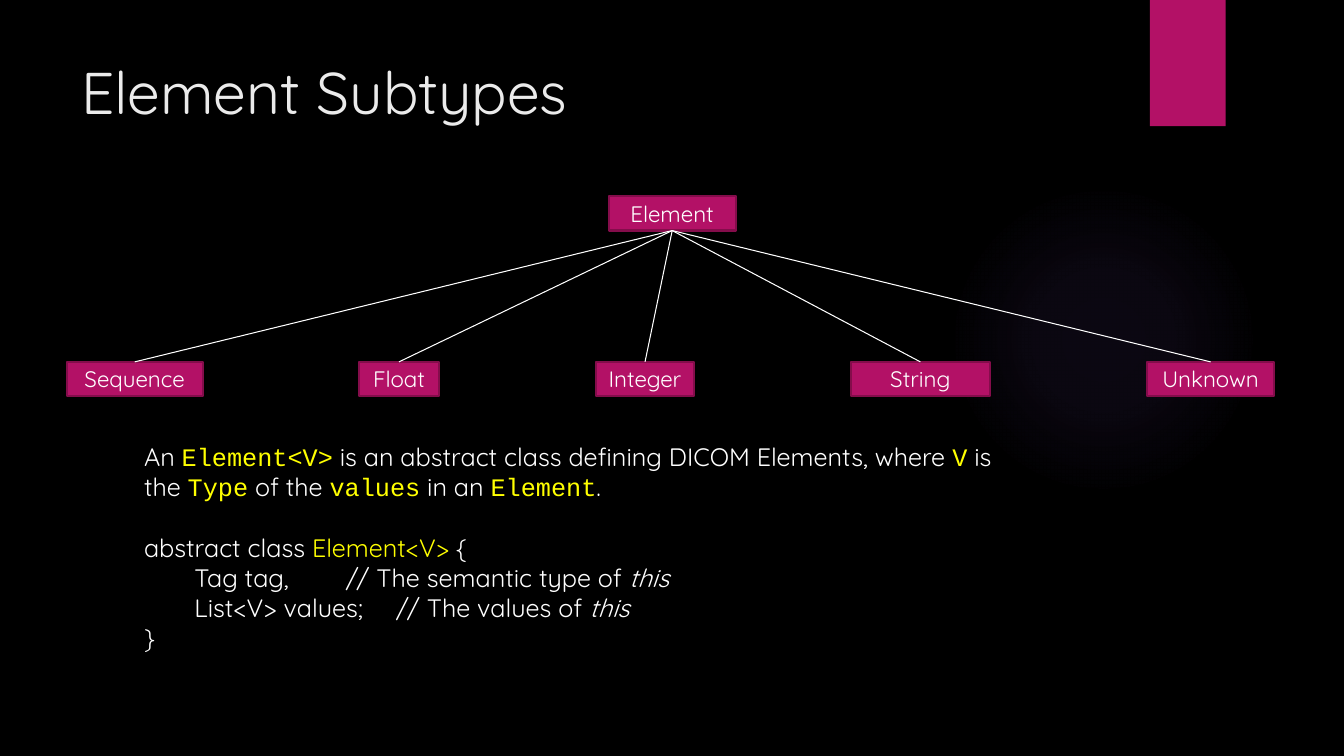
from dataclasses import dataclass

from lxml.etree import SubElement
from pptx import Presentation
from pptx.dml.color import RGBColor
from pptx.enum.shapes import MSO_CONNECTOR, MSO_SHAPE
from pptx.enum.text import MSO_ANCHOR, MSO_AUTO_SIZE, PP_ALIGN
from pptx.oxml.ns import qn
from pptx.shapes.autoshape import Shape
from pptx.slide import Slide
from pptx.text.text import _Paragraph as Paragraph
from pptx.util import Cm, Pt

PINK = "B31166"
WHITE = "FFFFFF"
YELLOW = "FFFF00"
GLOW = "9B6BF2"
SANS = "Quicksand"
MONO = "Courier New"


@dataclass(frozen=True)
class Frame:
    left: float
    top: float
    width: float
    height: float

    def lengths(self) -> tuple:
        return Cm(self.left), Cm(self.top), Cm(self.width), Cm(self.height)


@dataclass(frozen=True)
class Span:
    text: str
    color: str = WHITE
    font: str = SANS
    italic: bool = False
    size: int = 18


@dataclass(frozen=True)
class Line:
    spans: tuple
    indented: bool = False
    space_before: float = 0


@dataclass(frozen=True)
class Subtype:
    name: str
    left: float
    width: float


BOX_HEIGHT = 0.86
SUBTYPE_TOP = 9.12
ROOT = Frame(15.34, 4.95, 3.2, BOX_HEIGHT)
SUBTYPES = (
    Subtype("Sequence", 1.68, 3.43),
    Subtype("Float", 9.04, 2.03),
    Subtype("Integer", 15.01, 2.49),
    Subtype("String", 21.44, 3.51),
    Subtype("Unknown", 28.91, 3.2),
)
GLOW_STOPS = ((0, 7), (36, 6), (69, 0))


def code(text: str) -> Span:
    return Span(text, YELLOW, MONO)


TITLE = (Line((Span("Element Subtypes", "EBEBEB", size=42),)),)
THIS = Span("this", italic=True)
DEFINITION = (
    Line((
        Span("An "), code("Element<V>"),
        Span(" is an abstract class defining DICOM Elements, where "),
        code("V"), Span(" is the "), code("Type"), Span(" of the "),
        code("values"), Span(" in an "), code("Element"), Span("."),
    )),
    Line((Span("abstract class "), Span("Element<V>", YELLOW), Span(" {")),
         space_before=21.5),
    Line((Span("Tag tag,\t\t// The semantic type of "), THIS), indented=True),
    Line((Span("List<V> values;\t// The values of "), THIS), indented=True),
    Line((Span("}"),)),
)


def rgb(value: str) -> RGBColor:
    return RGBColor.from_string(value)


def add_span(para: Paragraph, span: Span) -> None:
    run = para.add_run()
    run.text = span.text
    formats = {"name": span.font, "size": Pt(span.size), "italic": span.italic}
    for name, value in formats.items():
        setattr(run.font, name, value)
    run.font.color.rgb = rgb(span.color)


def add_text(page: Slide, frame: Frame, lines: tuple) -> None:
    box = page.shapes.add_textbox(*frame.lengths())
    text = box.text_frame
    formats = {"word_wrap": True, "auto_size": MSO_AUTO_SIZE.SHAPE_TO_FIT_TEXT}
    for name, value in formats.items():
        setattr(text, name, value)
    for index, line in enumerate(lines):
        para = text.add_paragraph() if index else text.paragraphs[0]
        para.space_before = Pt(line.space_before)
        if line.indented:
            para.level = 1
            properties = para._p.get_or_add_pPr()
            for name in ("marL", "defTabSz"):
                properties.set(name, str(Cm(1.27)))
        for span in line.spans:
            add_span(para, span)


def add_block(page: Slide, frame: Frame, kind: MSO_SHAPE = MSO_SHAPE.RECTANGLE) -> Shape:
    block = page.shapes.add_shape(kind, *frame.lengths())
    block.shadow.inherit = False
    block.fill.solid()
    block.fill.fore_color.rgb = rgb(PINK)
    block.line.fill.background()
    return block


def add_glow(page: Slide, frame: Frame) -> None:
    glow = add_block(page, frame, MSO_SHAPE.OVAL)
    glow.fill.gradient()
    gradient = glow._element.spPr.find(qn("a:gradFill"))
    for child in list(gradient):
        gradient.remove(child)
    stops = SubElement(gradient, qn("a:gsLst"))
    for position, opacity in GLOW_STOPS:
        stop = SubElement(stops, qn("a:gs"), pos=str(position * 1000))
        color = SubElement(stop, qn("a:srgbClr"), val=GLOW)
        SubElement(color, qn("a:alpha"), val=str(opacity * 1000))
    circle = SubElement(gradient, qn("a:path"), path="circle")
    sides = {side: "50000" for side in "ltrb"}
    SubElement(circle, qn("a:fillToRect"), sides)


def add_class(page: Slide, frame: Frame, name: str) -> Shape:
    box = add_block(page, frame)
    box.line.color.rgb = rgb("840D4B")
    box.line.width = Pt(1.5)
    box.text_frame.word_wrap = True
    box.text_frame.vertical_anchor = MSO_ANCHOR.MIDDLE
    para = box.text_frame.paragraphs[0]
    para.alignment = PP_ALIGN.CENTER
    add_span(para, Span(name, size=16))
    return box


def join(page: Slide, parent: Shape, child: Shape) -> None:
    branch = page.shapes.add_connector(MSO_CONNECTOR.STRAIGHT, 0, 0, 0, 0)
    branch.begin_connect(parent, 2)
    branch.end_connect(child, 0)
    branch.line.color.rgb = rgb(WHITE)
    branch.line.width = Pt(0.75)
    SubElement(branch._element.spPr, qn("a:effectLst"))


def main() -> None:
    deck = Presentation()
    deck.slide_width, deck.slide_height = Cm(33.87), Cm(19.05)
    page = deck.slides.add_slide(deck.slide_layouts[6])
    page.background.fill.solid()
    page.background.fill.fore_color.rgb = rgb("000000")

    add_glow(page, Frame(23.9, 4.65, 7.82, 7.82))
    add_block(page, Frame(28.98, 0, 1.91, 3.18))
    add_text(page, Frame(1.8, 1.27, 26.14, 2.13), TITLE)

    root = add_class(page, ROOT, "Element")
    for subtype in SUBTYPES:
        frame = Frame(subtype.left, SUBTYPE_TOP, subtype.width, BOX_HEIGHT)
        join(page, root, add_class(page, frame, subtype.name))

    add_text(page, Frame(3.38, 11, 22.58, 5.64), DEFINITION)
    deck.save("out.pptx")


if __name__ == "__main__":
    main()
